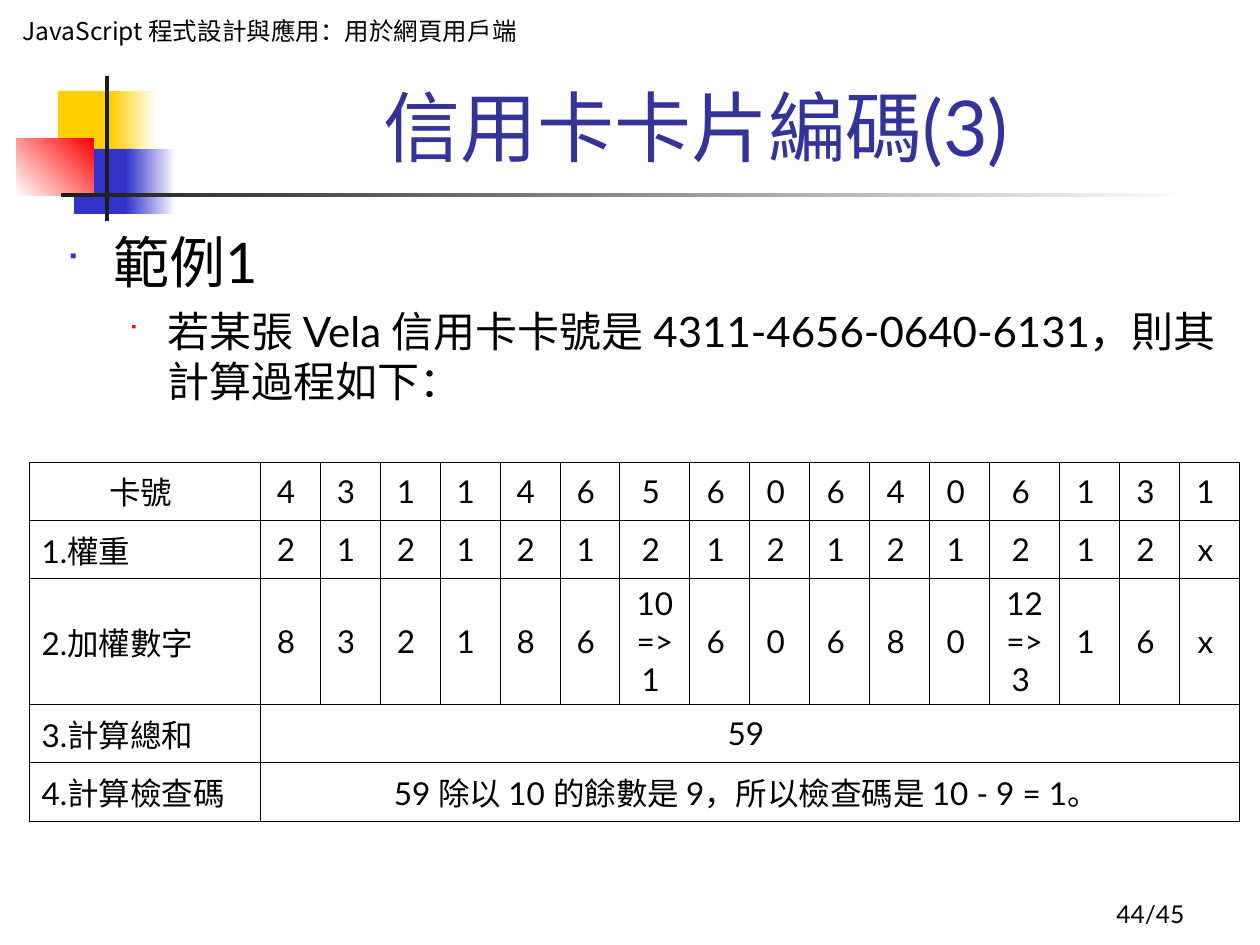
import pptx
import pptx.util
import pptx.dml.color
import pptx.enum.shapes
import pptx.enum.text
import pptx.oxml.ns
from lxml import etree

# Content
HEADER = "JavaScript 程式設計與應用：用於網頁用戶端"
TITLE = "信用卡卡片編碼(3)"
PAGE = "44/45"
# text, level, size, left margin px, hanging px, space before, bullet colour, bullet %
BULLETS = [
    ("範例1", 0, 32, 48, 48, 0, "blue", 60),
    ("若某張 Vela 信用卡卡號是 4311-4656-0640-6131，則其計算過程如下：",
     1, 24, 102, 39, 6, "red", 55),
]
DIGIT_ROWS = [
    ("卡號 ", "4 3 1 1 4 6 5 6 0 6 4 0 6 1 3 1".split()),
    ("1.權重", "2 1 2 1 2 1 2 1 2 1 2 1 2 1 2 x".split()),
    ("2.加權數字", "8 3 2 1 8 6 10\n=>1 6 0 6 8 0 12\n=>3 1 6 x".split(" ")),
]
MERGED_ROWS = [
    ("3.計算總和", "59"),
    ("4.計算檢查碼", "59 除以 10 的餘數是 9，所以檢查碼是 10 - 9 = 1。"),
]
ROW_HEIGHTS = [51, 50, 126, 51, 50]
LABEL_WIDTH, DIGIT_WIDTH, WIDE_WIDTH = 231, 60, 70

COLORS = {"yellow": "FFCF01", "blue": "3333CC", "red": "FF0000", "dark": "1C1C1C",
          "white": "FFFFFF", "black": "000000", "title": "333399"}
LATIN, CJK = "Lato", "Noto Sans CJK SC"

# Ornament: left, top, width, height, colours (two make a gradient), angle
ORNAMENT = [
    (58, 91, 60, 66, ["yellow"], 0),
    (111, 91, 45, 66, ["yellow", "white"], 0),
    (74, 149, 58, 65, ["blue"], 0),
    (126, 149, 50, 65, ["blue", "white"], 0),
    (17, 138, 77, 58, ["white", "red"], 45),
    (105, 76, 4, 145, ["dark"], 0),
    (61, 193, 1134, 4, ["dark", "white"], 0),
]

ALIGN = pptx.enum.text.PP_ALIGN
ANCHOR = pptx.enum.text.MSO_ANCHOR


def px(value):
    return pptx.util.Emu(round(value * 914400 / 126))


def rgb(name):
    return pptx.dml.color.RGBColor.from_string(COLORS[name])


def add_xml(parent, tag, **attributes):
    return etree.SubElement(parent, pptx.oxml.ns.qn("a:" + tag), attributes)


def add_text(paragraph, text, size, color="black", latin=LATIN):
    for index, line in enumerate(text.split("\n")):
        if index:
            paragraph.add_line_break()
        run = paragraph.add_run()
        run.text = line
        run.font.size = pptx.util.Pt(size)
        run.font.name = latin
        run.font.color.rgb = rgb(color)
        add_xml(run.font._element, "ea", typeface=CJK)


def place(shape, left, top, width, height):
    shape.left, shape.top, shape.width, shape.height = map(px, (left, top, width, height))


def prepare_frame(shape, anchor):
    frame = shape.text_frame
    frame.word_wrap = True
    frame.auto_size = pptx.enum.text.MSO_AUTO_SIZE.NONE
    frame.vertical_anchor = anchor
    return frame


def add_box(slide, left, top, width, height, colors, angle=0):
    shape = slide.shapes.add_shape(pptx.enum.shapes.MSO_SHAPE.RECTANGLE,
                                   *map(px, (left, top, width, height)))
    shape.shadow.inherit = False
    shape.line.fill.background()
    if len(colors) == 1:
        shape.fill.solid()
        shape.fill.fore_color.rgb = rgb(colors[0])
    else:
        shape.fill.gradient()
        shape.fill.gradient_angle = angle
        for stop, color in zip(shape.fill.gradient_stops, colors):
            stop.color.rgb = rgb(color)
    return shape


def fill_cell(cell, text, alignment):
    cell.vertical_anchor = ANCHOR.MIDDLE
    paragraph = cell.text_frame.paragraphs[0]
    paragraph.alignment = alignment
    add_text(paragraph, text, 18)


def style_cell(cell):
    properties = cell._tc.get_or_add_tcPr()
    for side in ("lnL", "lnR", "lnT", "lnB"):
        line = add_xml(properties, side, w=str(pptx.util.Pt(0.45)))
        add_xml(add_xml(line, "solidFill"), "srgbClr", val=COLORS["black"])
    cell.fill.background()


def add_bullets(body):
    frame = prepare_frame(body, ANCHOR.TOP)
    for index, (text, level, size, margin, hanging, before, color, percent) in enumerate(BULLETS):
        paragraph = frame.add_paragraph() if index else frame.paragraphs[0]
        paragraph.level = level
        properties = paragraph._p.get_or_add_pPr()
        properties.set("marL", str(px(margin)))
        properties.set("indent", str(-px(hanging)))
        add_xml(add_xml(properties, "buClr"), "srgbClr", val=COLORS[color])
        add_xml(properties, "buSzPct", val=str(percent * 1000))
        add_xml(properties, "buFont", typeface="Wingdings")
        add_xml(properties, "buChar", char="■")
        paragraph.space_before = pptx.util.Pt(before)
        add_text(paragraph, text, size)


def add_card_table(slide):
    digits = DIGIT_ROWS[2][1]
    widths = [LABEL_WIDTH] + [WIDE_WIDTH if "\n" in digit else DIGIT_WIDTH for digit in digits]
    table = slide.shapes.add_table(len(ROW_HEIGHTS), len(widths), px(29), px(462),
                                   px(sum(widths)), px(sum(ROW_HEIGHTS))).table
    table.first_row = table.horz_banding = False
    for column, width in zip(table.columns, widths):
        column.width = px(width)
    for row, height in zip(table.rows, ROW_HEIGHTS):
        row.height = px(height)
    rows = DIGIT_ROWS + [(label, [result]) for label, result in MERGED_ROWS]
    for row, (label, values) in enumerate(rows):
        fill_cell(table.cell(row, 0), label, ALIGN.LEFT if row else ALIGN.CENTER)
        for column, value in enumerate(values, 1):
            fill_cell(table.cell(row, column), value + " ", ALIGN.CENTER)
        if len(values) == 1:
            table.cell(row, 1).merge(table.cell(row, len(widths) - 1))
    for cell in table.iter_cells():
        style_cell(cell)


def main():
    presentation = pptx.Presentation()
    presentation.slide_width, presentation.slide_height = px(1260), px(945)
    slide = presentation.slides.add_slide(presentation.slide_layouts[1])
    title, body = slide.placeholders

    # Ornament and running header, behind the placeholders
    for box in ORNAMENT:
        add_box(slide, *box)
    header = add_box(slide, 10, 10, 590, 43, ["white"])
    paragraph = prepare_frame(header, ANCHOR.TOP).paragraphs[0]
    paragraph.alignment = ALIGN.LEFT
    add_text(paragraph, HEADER, 14, latin=CJK)
    for placeholder in (title, body):
        placeholder.element.getparent().append(placeholder.element)

    # Title and list
    place(title, 159, 73, 1074, 105)
    paragraph = prepare_frame(title, ANCHOR.BOTTOM).paragraphs[0]
    paragraph.alignment = ALIGN.CENTER
    add_text(paragraph, TITLE, 44, "title")
    place(body, 53, 221, 1182, 640)
    add_bullets(body)

    # Check digit table
    add_card_table(slide)

    # Page number
    page = slide.shapes.add_textbox(*map(px, (935, 872, 262, 63)))
    paragraph = prepare_frame(page, ANCHOR.BOTTOM).paragraphs[0]
    paragraph.alignment = ALIGN.RIGHT
    add_text(paragraph, PAGE, 14)

    presentation.save("out.pptx")


if __name__ == "__main__":
    main()
